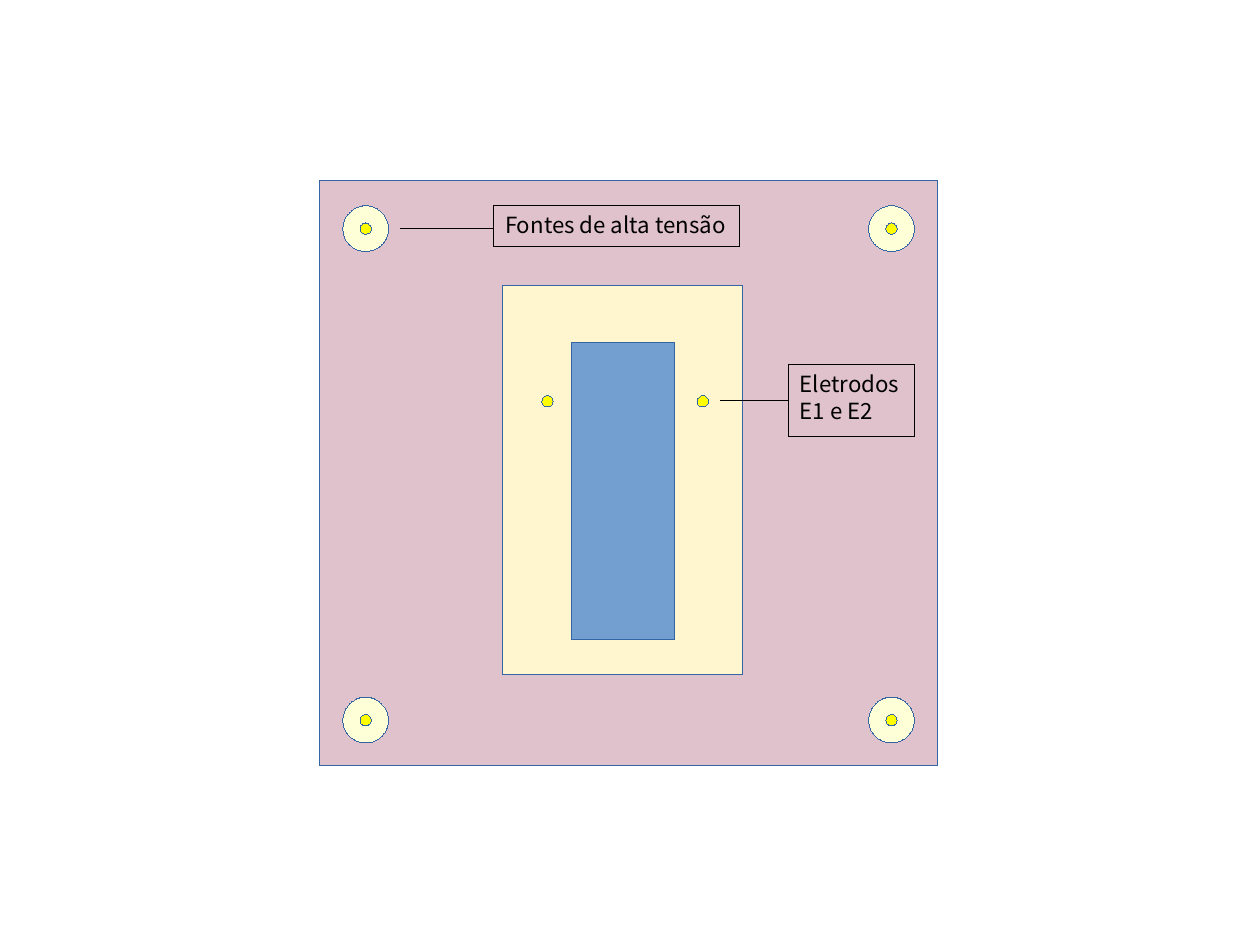
from dataclasses import dataclass
from itertools import product

from pptx import Presentation
from pptx.dml.color import RGBColor as RGB
from pptx.enum.shapes import MSO_CONNECTOR as Link, MSO_SHAPE as Kind
from pptx.enum.text import MSO_ANCHOR as Anchor, MSO_AUTO_SIZE as Fit
from pptx.oxml.xmlchemy import OxmlElement as Node
from pptx.util import Inches, Pt


@dataclass(frozen=True)
class Theme:
    plate: str = "E0C2CD"
    ring: str = "FFFFD7"
    tray: str = "FFF5CE"
    core: str = "729FCF"
    pin: str = "FFFF00"
    edge: str = "3465A4"
    ink: str = "000000"
    font: str = "Noto Sans CJK KR"
    size: int = 14
    line: int = 0


class Sketch:
    """Draws the parts of the device on one slide."""

    def __init__(self, slide, theme):
        self.shapes = slide.shapes
        self.theme = theme

    def stroke(self, item, color):
        item.line.color.rgb = RGB.from_string(color)
        item.get_or_add_ln().set("w", str(Pt(self.theme.line)))

    def shape(self, kind, fill, *box):
        item = self.shapes.add_shape(kind, *map(Inches, box))
        item.shadow.inherit = False
        item.fill.solid()
        item.fill.fore_color.rgb = RGB.from_string(fill)
        self.stroke(item, self.theme.edge)

    def rect(self, fill, *box):
        self.shape(Kind.RECTANGLE, fill, *box)

    def disc(self, fill, x, y, width):
        self.shape(Kind.OVAL, fill, x - width / 2, y - width / 2, width, width)

    def pin(self, x, y):
        self.disc(self.theme.pin, x, y, 0.1)

    def source(self, x, y):
        self.disc(self.theme.ring, x, y, 0.4)
        self.pin(x, y)

    def lead(self, start, end, y):
        item = self.shapes.add_connector(
            Link.STRAIGHT, Inches(start), Inches(y), Inches(end), Inches(y))
        self.stroke(item, self.theme.ink)
        item._element.spPr.append(Node("a:effectLst"))

    def label(self, lines, wrap, *box):
        item = self.shapes.add_textbox(*map(Inches, box))
        self.stroke(item, self.theme.ink)
        frame = item.text_frame
        frame.word_wrap = wrap
        frame.auto_size = Fit.SHAPE_TO_FIT_TEXT
        frame.vertical_anchor = Anchor.TOP
        frame.text = "\n".join(lines)
        for para in frame.paragraphs:
            para.font.name = self.theme.font
            para.font.size = Pt(self.theme.size)
            para.font.color.rgb = RGB.from_string(self.theme.ink)


def main():
    deck = Presentation()
    deck.slide_width, deck.slide_height = Inches(28 / 2.54), Inches(21 / 2.54)
    theme = Theme()
    sketch = Sketch(deck.slides.add_slide(deck.slide_layouts[6]), theme)

    sketch.rect(theme.plate, 2.8, 1.58, 5.4, 5.12)
    sketch.rect(theme.tray, 4.4, 2.5, 2.1, 3.4)
    for x, y in product((3.2, 7.8), (2, 6.3)):
        sketch.source(x, y)
    for x in (4.79, 6.15):
        sketch.pin(x, 3.51)
    sketch.lead(3.5, 4.32, 2)
    sketch.label(["Fontes de alta tensão"], False, 4.32, 1.8, 2.15, 0.36)
    sketch.lead(6.3, 6.9, 3.5)
    sketch.rect(theme.core, 5, 3, 0.9, 2.6)
    sketch.label(["Eletrodos", "E1 e E2"], True, 6.9, 3.19, 1.1, 0.63)

    deck.save("out.pptx")


if __name__ == "__main__":
    main()
